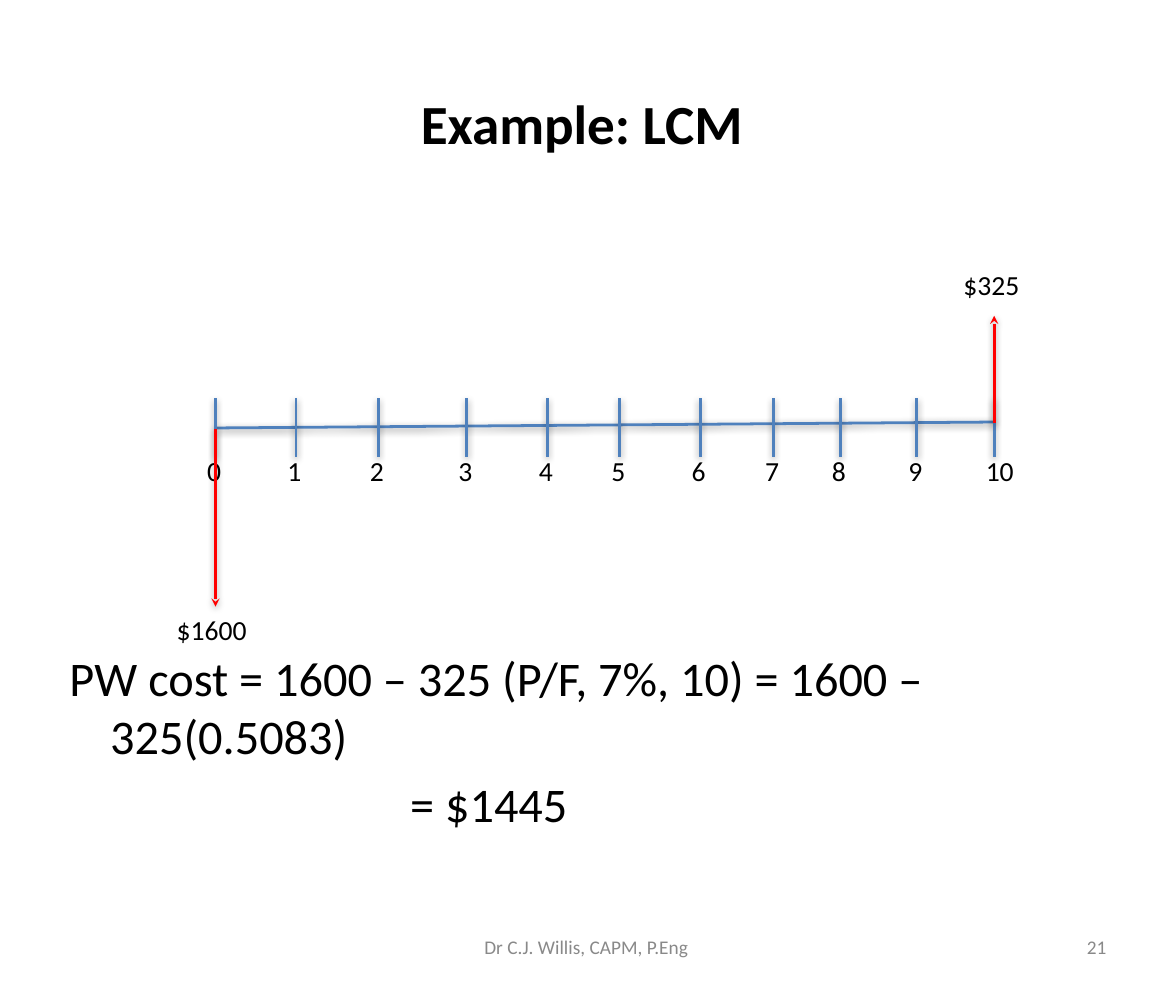
from dataclasses import dataclass
from lxml.etree import SubElement
from pptx import Presentation
from pptx.dml.color import RGBColor
from pptx.enum.shapes import MSO_CONNECTOR
from pptx.enum.text import MSO_ANCHOR, PP_ALIGN
from pptx.oxml.ns import qn
from pptx.slide import Slide
from pptx.util import Inches, Pt

BLACK = RGBColor(0x00, 0x00, 0x00)
GREY = RGBColor(0x89, 0x89, 0x89)
BLUE = RGBColor(0x4F, 0x81, 0xBD)
RED = RGBColor(0xFF, 0x00, 0x00)

WIDTH, HEIGHT = Inches(11.84), Inches(10)
COLUMNS, ROWS = 118.4, 100

YEARS = [21.7, 29.8, 38.1, 47, 55.1, 62.4, 70.5, 77.9, 84.6, 92.3, 100.1]
TICK_TOP, TICK_BOTTOM = 40.1, 46
LABEL_TOP, LABEL_HEIGHT = 45.1, 4.5


@dataclass
class Sheet:
    slide: Slide
    font: str = "Calibri"
    line_width: float = 2

    def place(self, column, row):
        return round(column * WIDTH / COLUMNS), round(row * HEIGHT / ROWS)

    def text(self, box, lines, size=20, color=BLACK, bold=False, wrap=True,
             align=PP_ALIGN.LEFT, anchor=MSO_ANCHOR.TOP, indents=(), gap=0):
        sp = self.slide.shapes.add_textbox(*self.place(*box[:2]), *self.place(*box[2:]))
        tf = sp.text_frame
        frame = {"word_wrap": wrap, "vertical_anchor": anchor,
                 "margin_left": Inches(0.11), "margin_right": Inches(0.11),
                 "margin_top": Inches(0.06), "margin_bottom": Inches(0.06)}
        for name, value in frame.items():
            setattr(tf, name, value)
        for i, line in enumerate(lines):
            p = tf.paragraphs[0] if i == 0 else tf.add_paragraph()
            p.alignment = align
            if i:
                p.space_before = Pt(gap)
            if indents:
                left, first = indents[i]
                pPr = p._p.get_or_add_pPr()
                pPr.set("marL", str(Inches(left)))
                pPr.set("indent", str(Inches(first)))
            r = p.add_run()
            r.text = line
            for name, value in {"name": self.font, "size": Pt(size), "bold": bold}.items():
                setattr(r.font, name, value)
            r.font.color.rgb = color

    def line(self, start, end, color=BLUE, arrow=False):
        cxn = self.slide.shapes.add_connector(
            MSO_CONNECTOR.STRAIGHT, *self.place(*start), *self.place(*end))
        cxn.line.color.rgb = color
        cxn.line.width = Pt(self.line_width)
        if arrow:
            SubElement(cxn.line._get_or_add_ln(), qn("a:tailEnd"), type="stealth")
        effects = SubElement(cxn._element.spPr, qn("a:effectLst"))
        shadow = SubElement(effects, qn("a:outerShdw"), blurRad=str(Pt(5)),
                            dist=str(Pt(1.6)), dir="5400000", rotWithShape="0")
        shade = SubElement(shadow, qn("a:srgbClr"), val="000000")
        SubElement(shade, qn("a:alpha"), val="38000")


def main():
    prs = Presentation()
    prs.slide_width, prs.slide_height = WIDTH, HEIGHT
    s = Sheet(prs.slides.add_slide(prs.slide_layouts[6]))

    s.text((5.9, 4, 106.6, 16.7), ["Example: LCM "], size=40, bold=True,
           align=PP_ALIGN.CENTER, anchor=MSO_ANCHOR.MIDDLE)
    s.text((5.9, 64.7, 106.6, 24.6),
           ["PW cost = 1600 – 325 (P/F, 7%, 10) = 1600 – 325(0.5083)", "= $1445"],
           size=35, indents=[(0.41, -0.41), (3.43, 0)], gap=7)

    s.line((YEARS[0], 43.1), (YEARS[-1], 42.5))
    for year, column in enumerate(YEARS):
        s.line((column, TICK_TOP), (column, TICK_BOTTOM))
        width = 3.7 if year < 10 else 5.1
        s.text((column - 1.95, LABEL_TOP, width, LABEL_HEIGHT), [str(year)], wrap=False)

    s.line((YEARS[0], 43.2), (YEARS[0], 61.1), RED, arrow=True)
    s.line((YEARS[-1], 42.6), (YEARS[-1], 31.8), RED, arrow=True)
    s.text((16.7, 61.1, 9.3, LABEL_HEIGHT), ["$1600"], wrap=False)
    s.text((95.9, 26.4, 7.9, LABEL_HEIGHT), ["$325"], wrap=False)

    footer = {"size": 14, "color": GREY, "anchor": MSO_ANCHOR.MIDDLE}
    s.text((40.5, 92.7, 37.5, 5.3), ["Dr C.J. Willis, CAPM, P.Eng "],
           align=PP_ALIGN.CENTER, **footer)
    s.text((84.9, 92.7, 27.6, 5.3), ["21"], align=PP_ALIGN.RIGHT, **footer)

    prs.save("out.pptx")


if __name__ == "__main__":
    main()
